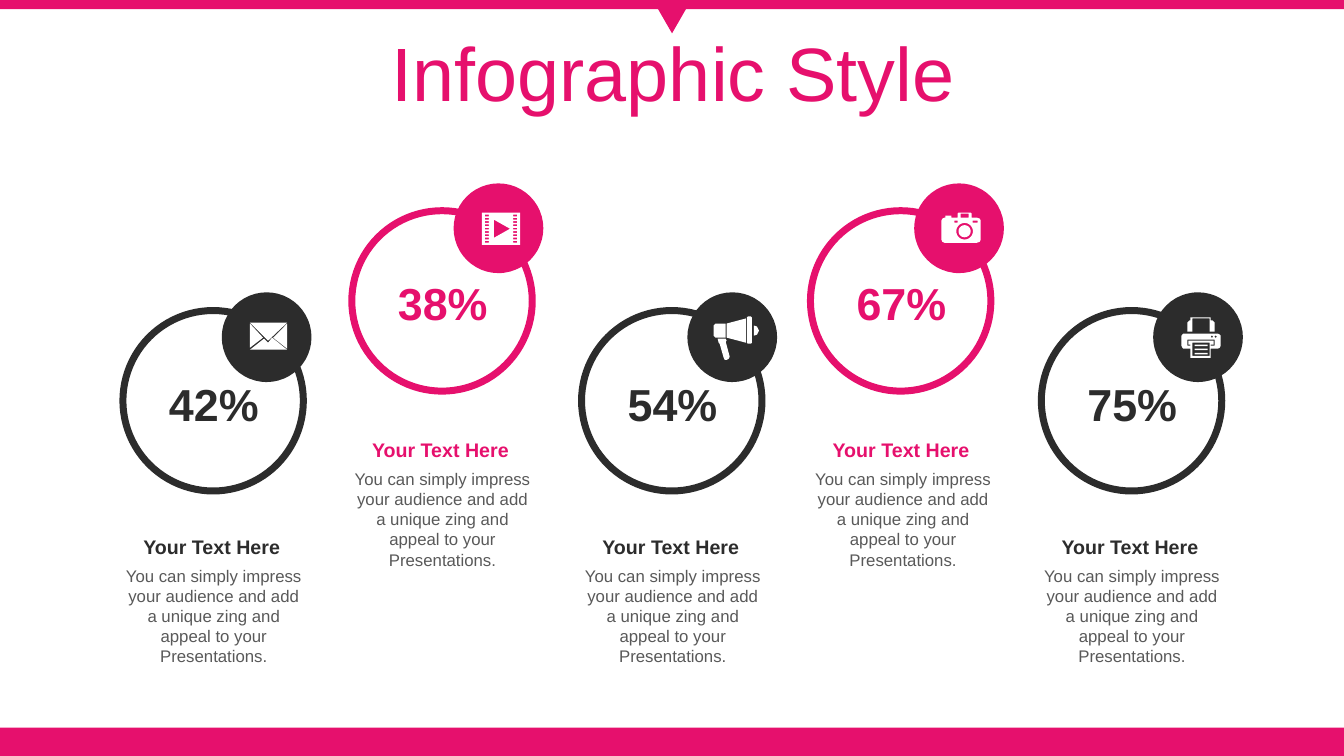
from dataclasses import dataclass
from math import cos, pi, sin

from pptx import Presentation
from pptx.dml.color import RGBColor as RGB
from pptx.enum.shapes import MSO_SHAPE as SHAPE
from pptx.enum.text import MSO_ANCHOR as ANCHOR, MSO_AUTO_SIZE as AUTO, PP_ALIGN as ALIGN
from pptx.util import Pt


def box(x, y, w, h):
    return [(x, y), (x + w, y), (x + w, y + h), (x, y + h)]


def circle(cx, cy, r, steps=32):
    angles = [2 * pi * i / steps for i in range(steps)]
    return [(cx + r * cos(a), cy + r * sin(a)) for a in angles]


TITLE = "Infographic Style"
HEADING = "Your Text Here"
BODY = ("You can simply impress your audience and add a unique zing "
        "and appeal to your Presentations.")

ENVELOPE = [
    [(50, 45), (65, 57), (28, 57), (42, 46), (46, 50)],
    [(65, 31), (65, 56), (51, 45)],
    [(28, 31), (41, 45), (28, 55)],
    [(28, 30), (65, 30), (46, 48)],
]
FILM = [
    box(28, 29, 38, 32),
    [(40, 36), (40, 54), (56, 45)],
    *[box(x, 31 + 3.25 * i, 4, 1.75) for x in (31, 59) for i in range(9)],
]
MEGAPHONE = [
    [(38, 46), (39, 48), (38, 49), (42, 64), (41, 66), (39, 67),
     (37, 67), (36, 65), (32, 51), (31, 50), (30, 46)],
    [(66, 33), (69, 34), (71, 38), (69, 42), (66, 43)],
    [(28, 31), (38, 31), (38, 45), (28, 45), (26, 43), (26, 33)],
    [(58, 26), (58, 50), (39, 45), (39, 31)],
    [(60, 24), (63, 24), (64, 25), (64, 50), (63, 51), (60, 51), (59, 50), (59, 25)],
]
CAMERA = [
    [(44, 29), (56, 29), (57, 30), (57, 34), (62, 34), (65, 35), (66, 37),
     (66, 56), (65, 58), (62, 59), (30, 59), (28, 58), (27, 56), (27, 37),
     (28, 35), (30, 34), (31, 34), (31, 32), (37, 32), (37, 34), (43, 34), (43, 30)],
    circle(50, 47.5, 8.25),
    circle(50, 47.5, 6),
    box(40, 37, 3, 2),
    box(58, 37, 5, 2),
    box(46, 30, 8, 4),
]
PRINTER = [
    [(30, 41), (64, 41), (66, 42), (67, 43), (67, 53), (66, 55), (64, 56), (57, 56),
     (57, 65), (37, 65), (37, 56), (30, 56), (29, 55), (28, 53), (28, 43), (29, 42)],
    [(34, 47), (34, 53), (37, 53), (37, 52), (35, 52), (35, 48),
     (60, 48), (60, 52), (57, 52), (57, 53), (61, 53), (61, 47)],
    [(37, 25), (57, 25), (57, 28), (59, 28), (61, 30), (61, 39), (56, 39), (56, 26),
     (39, 26), (39, 39), (34, 39), (34, 30), (36, 28), (37, 28)],
    box(39, 50, 17, 13),
    *[box(41, y, 13, 1.5) for y in (52, 56, 60)],
    *[circle(x, 44, 1) for x in (58.3, 62)],
]


@dataclass(frozen=True)
class Theme:
    font: str = "Arial"
    pink: str = "E6106D"
    dark: str = "2C2C2C"
    grey: str = "595959"
    white: str = "FFFFFF"
    title: int = 54
    percent: int = 32
    heading: int = 14
    body: int = 12
    ring_line: int = 5


THEME = Theme()
GRID = 0.72
FINE = 100
RING, BADGE = 128.9, 64.1

LOW = dict(color=THEME.dark, ring=221.8, badge=208.8, percent=265.7, heading=378.7, body=400.3)
HIGH = dict(color=THEME.pink, ring=150.5, badge=131, percent=193.7, heading=309.6, body=331.2)

# value, icon, level, left of ring, badge and caption
STEPS = [
    ("42%", ENVELOPE, LOW, 87.8, 158.4, 81.4),
    ("38%", FILM, HIGH, 251.3, 324, 244.8),
    ("54%", MEGAPHONE, LOW, 415.4, 491, 409.3),
    ("67%", CAMERA, HIGH, 578.9, 653, 573.8),
    ("75%", PRINTER, LOW, 743.8, 823.7, 737.3),
]


def paint(s, fill, line=None):
    s.shadow.inherit = False
    s.fill.solid()
    s.fill.fore_color.rgb = RGB.from_string(fill)
    if line:
        s.line.color.rgb = RGB.from_string(line)
        s.line.width = Pt(THEME.ring_line)
    else:
        s.line.fill.background()


def add_shape(slide, kind, rect, fill, line=None):
    s = slide.shapes.add_shape(kind, *map(Pt, rect))
    paint(s, fill, line)
    return s


def write(tf, text, size, color, bold=False):
    p = tf.paragraphs[0]
    p.alignment = ALIGN.CENTER
    r = p.add_run()
    r.text = text
    for name, value in dict(name=THEME.font, size=Pt(size), bold=bold).items():
        setattr(r.font, name, value)
    r.font.color.rgb = RGB.from_string(color)
    return p


def add_text(slide, rect, *text_format):
    tf = slide.shapes.add_textbox(*map(Pt, rect)).text_frame
    tf.word_wrap = True
    tf.auto_size = AUTO.SHAPE_TO_FIT_TEXT
    write(tf, *text_format)


def add_icon(slide, contours, left, top):
    fine = [[(x * FINE, y * FINE) for x, y in c] for c in contours]
    builder = slide.shapes.build_freeform(*fine[0][0], scale=Pt(GRID) / FINE)
    for i, contour in enumerate(fine):
        if i:
            builder.move_to(*contour[0])
        builder.add_line_segments(contour[1:], close=True)
    paint(builder.convert_to_shape(Pt(left), Pt(top)), THEME.white)


def add_title(slide):
    s = slide.shapes.title
    frame = zip(("left", "top", "width", "height"), (25.2, 26.6, 911.5, 56.9))
    for name, value in frame:
        setattr(s, name, Pt(value))
    tf = s.text_frame
    for name, value in dict(auto_size=AUTO.NONE, vertical_anchor=ANCHOR.MIDDLE).items():
        setattr(tf, name, value)
    p = write(tf, TITLE, THEME.title, THEME.pink)
    p.line_spacing = 0.9
    p.space_before = Pt(10)


def add_step(slide, value, icon, level, ring_x, badge_x, caption_x):
    color = level["color"]
    add_shape(slide, SHAPE.OVAL, (ring_x, level["ring"], RING, RING), THEME.white, color)
    add_shape(slide, SHAPE.OVAL, (badge_x, level["badge"], BADGE, BADGE), color)
    add_icon(slide, icon, badge_x, level["badge"])
    add_text(slide, (ring_x + 25, level["percent"], 80, 46), value, THEME.percent, color, True)
    add_text(slide, (caption_x - 0.7, level["heading"], 141.1, 24.5),
             HEADING, THEME.heading, color, True)
    add_text(slide, (caption_x, level["body"], 142.6, 80), BODY, THEME.body, THEME.grey)


def main():
    prs = Presentation()
    prs.slide_width, prs.slide_height = Pt(960), Pt(540)
    slide = prs.slides.add_slide(prs.slide_layouts[5])
    add_shape(slide, SHAPE.RECTANGLE, (0, 519.8, 960, 20.2), THEME.pink)
    add_shape(slide, SHAPE.RECTANGLE, (0, 0, 960, 6.5), THEME.pink)
    pointer = add_shape(slide, SHAPE.ISOSCELES_TRIANGLE, (466.3, 0, 27.4, 23.8), THEME.pink)
    pointer.rotation = 180
    add_title(slide)
    for step in STEPS:
        add_step(slide, *step)
    prs.save("out.pptx")


if __name__ == "__main__":
    main()
